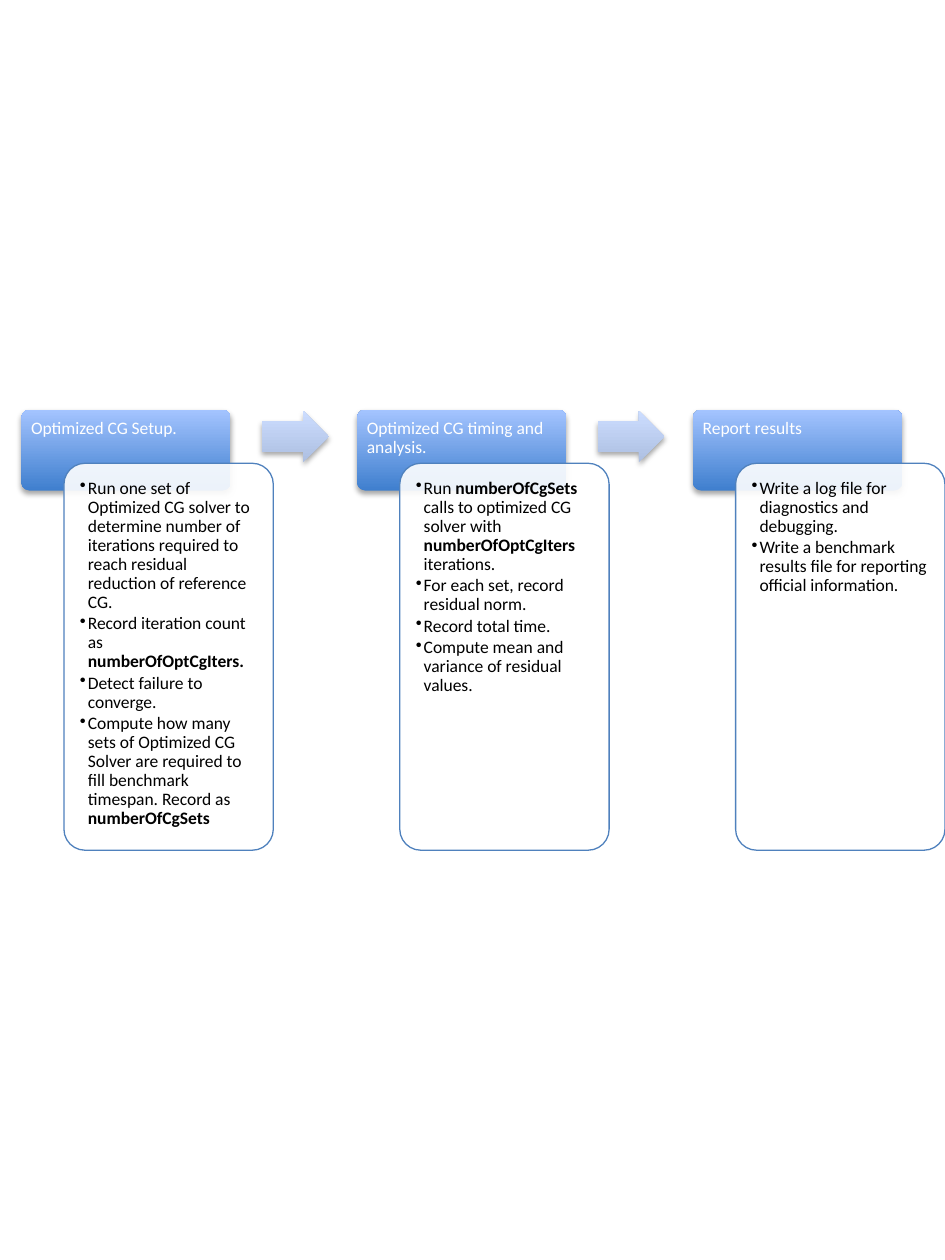
from lxml import etree
from pptx import Presentation
from pptx.dml.color import RGBColor
from pptx.enum.shapes import MSO_SHAPE
from pptx.enum.text import MSO_ANCHOR, PP_ALIGN
from pptx.oxml import parse_xml
from pptx.oxml.ns import nsdecls, qn
from pptx.util import Cm, Pt

ROUND, ARROW = MSO_SHAPE.ROUNDED_RECTANGLE, MSO_SHAPE.RIGHT_ARROW
TOP, LEFT = MSO_ANCHOR.TOP, PP_ALIGN.LEFT
FONT = "Calibri"
FIRST_X, STEP_Y, PITCH = 0.43, 8.26, 6.77
BOX_W, HEAD_H, BODY_H = 4.22, 1.63, 7.8

# Asterisks enclose bold words
STEPS = [
    ("Optimized CG Setup.", [
        "Run one set of Optimized CG solver to determine number of iterations "
        "required to reach residual reduction of reference CG.",
        "Record iteration count as *numberOfOptCgIters.*",
        "Detect failure to converge.",
        "Compute how many sets of Optimized CG Solver are required to fill "
        "benchmark timespan. Record as *numberOfCgSets*",
    ]),
    ("Optimized CG timing and analysis.", [
        "Run *numberOfCgSets *calls to optimized CG solver with "
        "*numberOfOptCgIters *iterations.",
        "For each set, record residual norm.",
        "Record total time.",
        "Compute mean and variance of residual values.",
    ]),
    ("Report results", [
        "Write a log file for diagnostics and debugging.",
        "Write a benchmark results file for reporting official information.",
    ]),
]


def rgb(value):
    """Turn a hex string into a colour."""
    return RGBColor.from_string(value)


def add_box(s, kind, x, y, w, h, adjustments):
    """Add a shape without line or shadow; lengths in cm."""
    sp = s.shapes.add_shape(kind, Cm(x), Cm(y), Cm(w), Cm(h))
    for i, value in enumerate(adjustments):
        sp.adjustments[i] = value
    sp.shadow.inherit = False
    sp.line.fill.background()
    return sp


def shade(sp, bottom, top):
    """Give a shape a vertical gradient and a soft shadow below it."""
    sp.fill.gradient()
    sp.fill.gradient_angle = 90
    for stop, value in zip(sp.fill.gradient_stops, (bottom, top)):
        stop.color.rgb = rgb(value)
    effects = sp._element.spPr.find(qn("a:effectLst"))
    effects.append(parse_xml(
        f'<a:outerShdw {nsdecls("a")} blurRad="{Pt(3.1)}" dist="{Pt(1.8)}" '
        'dir="5400000" rotWithShape="0"><a:srgbClr val="000000">'
        '<a:alpha val="35000"/></a:srgbClr></a:outerShdw>'))


def write(sp, lines, color, inset, after, bullets=False):
    """Fill a shape with top-left text, one paragraph a line."""
    tf = sp.text_frame
    tf.word_wrap = True
    tf.vertical_anchor = TOP
    tf.margin_left = tf.margin_right = tf.margin_top = tf.margin_bottom = Cm(inset)
    for i, line in enumerate(lines):
        p = tf.paragraphs[0] if i == 0 else tf.add_paragraph()
        p.alignment = LEFT
        p.line_spacing = 0.9
        p.space_after = Pt(after)
        for j, part in enumerate(line.split("*")):
            if part:
                r = p.add_run()
                r.text = part
                r.font.name, r.font.size = FONT, Pt(10)
                r.font.bold = j % 2 == 1
                r.font.color.rgb = rgb(color)
        if bullets:
            pPr = p._p.get_or_add_pPr()
            pPr.set("marL", str(Cm(0.16)))
            pPr.set("indent", str(-Cm(0.16)))
            etree.SubElement(pPr, qn("a:buChar")).set("char", "•")


def add_step(s, x, y, title, points):
    """Draw a titled header and the overlapping panel of points."""
    head = add_box(s, ROUND, x, y, BOX_W, HEAD_H, [0.1])
    shade(head, "3F7FCE", "A4C4FF")
    write(head, [title], "FFFFFF", 0.15, 3.5)

    body = add_box(s, ROUND, x + 0.86, y + 1.08, BOX_W, BODY_H, [0.1])
    body.fill.solid()
    body.fill.fore_color.rgb = rgb("FFFFFF")
    color = body._element.spPr.find(qn("a:solidFill"))[0]
    etree.SubElement(color, qn("a:alpha")).set("val", "90000")
    body.line.color.rgb = rgb("4F81BD")
    body.line.width = Pt(0.75)
    write(body, points, "000000", 0.2, 1.5, bullets=True)


def add_arrow(s, x, y):
    """Draw the arrow that follows the step at x, y."""
    sp = add_box(s, ARROW, x + 4.85, y + 0.02, 1.35, 1.04, [0.6, 0.5])
    shade(sp, "ADBFE1", "CCDDFF")


def build_flow(s, x, y):
    """Lay the steps out from left to right with arrows between them."""
    for i, (title, points) in enumerate(STEPS):
        left = x + i * PITCH
        add_step(s, left, y, title, points)
        if i < len(STEPS) - 1:
            add_arrow(s, left, y)


prs = Presentation()
prs.slide_width, prs.slide_height = Cm(19.05), Cm(25.4)
s = prs.slides.add_slide(prs.slide_layouts[6])
build_flow(s, FIRST_X, STEP_Y)
prs.save("out.pptx")
